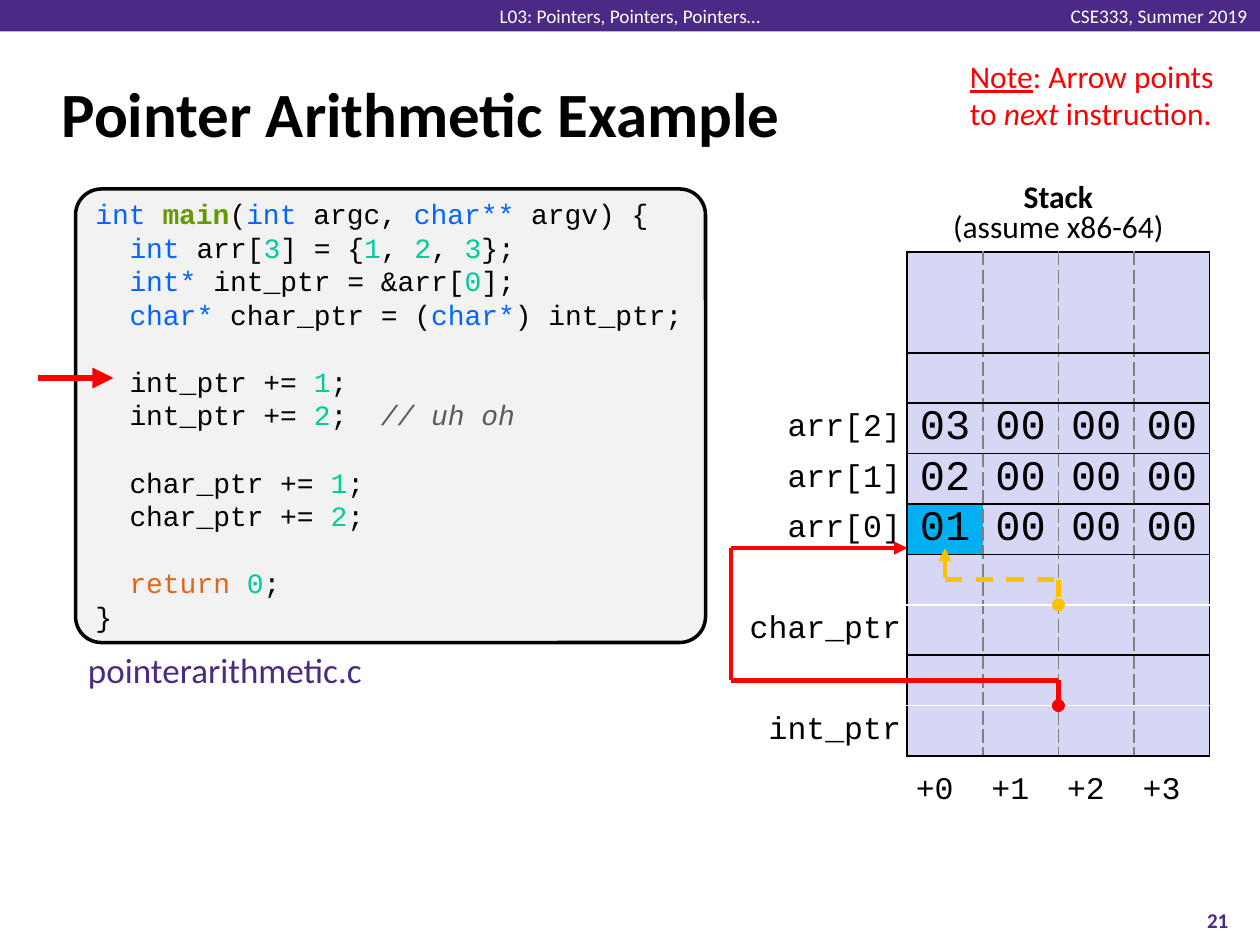
"""Build a slide that traces pointer arithmetic on a stack diagram."""
from dataclasses import dataclass
from typing import Any, NamedTuple, Optional

from lxml import etree
from pptx import Presentation
from pptx.dml import color
from pptx.enum import dml, shapes, text
from pptx.oxml import ns
from pptx.util import Inches, Pt


@dataclass(frozen=True)
class Theme:
    sans: str = "Calibri"
    mono: str = "Courier New"
    black: str = "000000"
    white: str = "FFFFFF"
    brand: str = "4B2A85"
    red: str = "FF0000"
    gold: str = "FFC000"
    gray: str = "808080"
    panel: str = "F2F2F2"
    cell: str = "D6D6F5"
    mark: str = "00B0F0"
    key: str = "0066FF"
    func: str = "669900"
    num: str = "00CC99"
    note: str = "5A5A5A"
    flow: str = "E2661A"
    tiny: float = 11
    small: float = 12
    code: float = 16
    body: float = 18
    file: float = 20
    data: float = 24
    title: float = 36
    lead: float = 19.2


T = Theme()
ALIGN = text.PP_ALIGN
MID = text.MSO_ANCHOR.MIDDLE


class Run(NamedTuple):
    text: str
    hue: str = T.black
    bold: bool = False
    slant: bool = False
    under: bool = False


class Para(NamedTuple):
    runs: list[Run]
    depth: int = 1
    gap: int = 0


class Label(NamedTuple):
    box: tuple[float, float, float, float]
    paras: list[Para]
    size: float
    align: Any = ALIGN.LEFT
    font: str = T.sans
    mid: bool = False
    wrap: bool = True
    pad: float = 0.05
    lead: Optional[float] = None


class Wire(NamedTuple):
    start: tuple[float, float]
    end: tuple[float, float]
    head: str = ""
    tail: str = ""


class Row(NamedTuple):
    name: str = ""
    data: tuple[str, ...] = ("",) * 4
    top: str = T.black
    base: str = T.black


def rgb(hue: str) -> color.RGBColor:
    return color.RGBColor.from_string(hue)


def paint(shape: Any, hue: str) -> None:
    shape.fill.solid()
    shape.fill.fore_color.rgb = rgb(hue)


def node(up: Any, tag: str, **attrs: str) -> Any:
    return etree.SubElement(up, ns.qn(tag), attrs)


def write(frame: Any, paras: list[Para], size: float, font: str, align: Any) -> None:
    for i, para in enumerate(paras):
        line = frame.add_paragraph() if i else frame.paragraphs[0]
        line.alignment = align
        for part in para.runs:
            run = line.add_run()
            run.text = part.text
            face = run.font
            face.name, face.size, face.color.rgb = font, Pt(size), rgb(part.hue)
            face.bold, face.italic, face.underline = part.bold, part.slant, part.under


def plain(words: str, hue: str = T.black, bold: bool = False) -> list[Para]:
    return [Para([Run(words, hue, bold)])]


def label(slide: Any, item: Label) -> Any:
    frame = slide.shapes.add_textbox(*map(Inches, item.box)).text_frame
    frame.word_wrap = item.wrap
    frame.margin_top = frame.margin_bottom = Inches(item.pad)
    if item.mid:
        frame.vertical_anchor = MID
    write(frame, item.paras, item.size, item.font, item.align)
    if item.lead:
        for line in frame.paragraphs:
            line.line_spacing = item.lead
    return frame


def wires(slide: Any, parts: list[Wire], hue: str, width: float, dash: bool = False) -> None:
    home = slide.shapes.add_group_shape().shapes if len(parts) > 1 else slide.shapes
    for part in parts:
        link = home.add_connector(shapes.MSO_CONNECTOR.STRAIGHT,
                                  *map(Inches, part.start + part.end))
        link.line.color.rgb, link.line.width = rgb(hue), Pt(width)
        if dash:
            link.line.dash_style = dml.MSO_LINE.DASH
        for tag, kind in (("a:headEnd", part.head), ("a:tailEnd", part.tail)):
            if kind:
                node(link.line._get_or_add_ln(), tag, type=kind)
        node(link._element.spPr, "a:effectLst")


def edge(cell: Any, side: str, hue: str, dash: str = "solid") -> None:
    line = node(cell._tc.get_or_add_tcPr(), f"a:ln{side}", w=str(Pt(1)))
    node(node(line, "a:solidFill"), "a:srgbClr", val=hue)
    node(line, "a:prstDash", val=dash)


def stack(slide: Any, rows: list[Row]) -> None:
    grid = slide.shapes.add_table(len(rows), 5, *map(Inches, (5.9, 2, 3.7, 4))).table
    grid.first_row = grid.horz_banding = False
    for i, col in enumerate(grid.columns):
        col.width = Inches(0.6 if i else 1.3)
    for i, row in enumerate(rows):
        grid.rows[i].height = Inches(0.4 if i else 0.8)
        for j, words in enumerate((row.name, *row.data)):
            cell = grid.cell(i, j)
            cell.margin_left = cell.margin_right = Inches(0.05)
            cell.margin_top = cell.margin_bottom = 0
            cell.vertical_anchor = MID
            if words:
                write(cell.text_frame, plain(words), T.data if j else T.body,
                      T.mono, ALIGN.CENTER if j else ALIGN.RIGHT)
            if j == 0:
                edge(cell, "R", T.black)
                cell.fill.background()
                continue
            for side, outer in (("L", j == 1), ("R", j == 4)):
                edge(cell, side, *((T.black,) if outer else (T.gray, "lgDash")))
            edge(cell, "T", row.top)
            edge(cell, "B", row.base)
            paint(cell, T.mark if words == "01" else T.cell)


def block(slide: Any, kind: Any, box: tuple[float, ...], hue: str) -> Any:
    shape = slide.shapes.add_shape(kind, *map(Inches, box))
    shape.shadow.inherit = False
    paint(shape, hue)
    shape.line.fill.background()
    return shape


def listing(slide: Any, lines: list[Para]) -> None:
    panel = block(slide, shapes.MSO_SHAPE.ROUNDED_RECTANGLE, (0.6, 1.5, 5, 3.6), T.panel)
    panel.adjustments[0] = 0.057
    panel.line.color.rgb, panel.line.width = rgb(T.black), Pt(2)
    frame = panel.text_frame
    frame.vertical_anchor, frame.margin_top = text.MSO_ANCHOR.TOP, 0
    write(frame, lines, T.code, T.mono, ALIGN.LEFT)
    for line, para in zip(frame.paragraphs, lines):
        line.line_spacing = Pt(T.lead)
        line.space_before = Pt(T.lead * para.gap)
        line._p.get_or_add_pPr().set("marL", str(Inches(0.27 * para.depth)))


def key(words: str) -> Run:
    return Run(words, T.key)


def num(words: str) -> Run:
    return Run(words, T.num)


def step(name: str, count: str, gap: int = 0, *rest: Run) -> Para:
    return Para([Run(f"{name} += "), num(count), *(rest or (Run(";"),))], gap=gap)


CODE = [
    Para([key("int "), Run("main", T.func, True), Run("("), key("int "),
          Run("argc, "), key("char** "), Run("argv) {")], 0),
    Para([key("int "), Run("arr["), num("3"), Run("] = {"), num("1"), Run(", "),
          num("2"), Run(", "), num("3"), Run("};")]),
    Para([key("int* "), Run("int_ptr = &arr["), num("0"), Run("];")]),
    Para([key("char* "), Run("char_ptr = ("), key("char*"), Run(") int_ptr;")]),
    step("int_ptr", "1", 1),
    step("int_ptr", "2", 0, Run(";  "), Run("// uh oh", T.note, slant=True)),
    step("char_ptr", "1", 1),
    step("char_ptr", "2"),
    Para([Run("return ", T.flow), num("0"), Run(";")], gap=1),
    Para([Run("}")], 0),
]
ROWS = [Row(), Row(),
        *(Row(f"arr[{i}]", (f"0{i + 1}", "00", "00", "00")) for i in (2, 1, 0))]
for name in ("char_ptr", "int_ptr"):
    ROWS += [Row(base=T.white), Row(name, top=T.white)]
NOTE = [Para([Run("Note", T.red, under=True), Run(": Arrow points to ", T.red),
              Run("next", T.red, slant=True), Run(" instruction.", T.red)])]
LABELS = [
    Label((8.38, 0.03, 1.62, 0.19), plain("CSE333, Summer 2019", T.white), T.tiny,
          ALIGN.RIGHT, mid=True, wrap=False, pad=0),
    Label((3.84, 0.03, 2.32, 0.19), plain("L03: Pointers, Pointers, Pointers…", T.white),
          T.tiny, ALIGN.CENTER, mid=True, wrap=False, pad=0),
    Label((0.39, 0.48, 9.19, 0.83), plain("Pointer Arithmetic Example", bold=True),
          T.title, mid=True),
    Label((9.33, 7.1, 0.67, 0.4), plain("21", T.brand, True), T.small, ALIGN.CENTER, mid=True),
    Label((7.2, 1.41, 2.4, 0.59), plain("Stack", bold=True) + plain("(assume x86-64)"),
          T.body, ALIGN.CENTER, lead=0.8),
    Label((7.6, 0.4, 2.3, 0.71), NOTE, T.body),
    Label((0.6, 5.1, 2.5, 0.44), plain("pointerarithmetic.c", T.brand), T.file),
]
OFFSETS = Label((7.17, 6.05, 2.31, 0.4), plain("+0\t+1\t+2\t+3"), T.body,
                font=T.mono, wrap=False)


def main() -> None:
    deck = Presentation()
    deck.slide_width, deck.slide_height = Inches(10), Inches(7.5)
    slide = deck.slides.add_slide(deck.slide_layouts[6])
    block(slide, shapes.MSO_SHAPE.RECTANGLE, (0, 0, 10, 0.25), T.brand)
    listing(slide, CODE)
    stack(slide, ROWS)
    for item in LABELS:
        label(slide, item)
    line = label(slide, OFFSETS).paragraphs[0]
    tabs = node(line._p.get_or_add_pPr(), "a:tabLst")
    for i in (1, 2, 3):
        node(tabs, "a:tab", pos=str(Inches(0.6 * i)), algn="l")
    wires(slide, [Wire((0.3, 3), (0.9, 3), tail="triangle")], T.red, 4)
    wires(slide, [Wire((8.4, 4.6), (8.4, 4.8), tail="oval"), Wire((7.5, 4.6), (8.4, 4.6)),
                  Wire((7.5, 4.35), (7.5, 4.6), head="triangle")], T.gold, 2.5, True)
    wires(slide, [Wire((8.4, 5.4), (8.4, 5.6), tail="oval"), Wire((5.8, 5.4), (8.4, 5.4)),
                  Wire((5.8, 4.35), (7.2, 4.35), tail="triangle"),
                  Wire((5.8, 4.35), (5.8, 5.4))], T.red, 2.5)
    deck.save("out.pptx")


if __name__ == "__main__":
    main()
